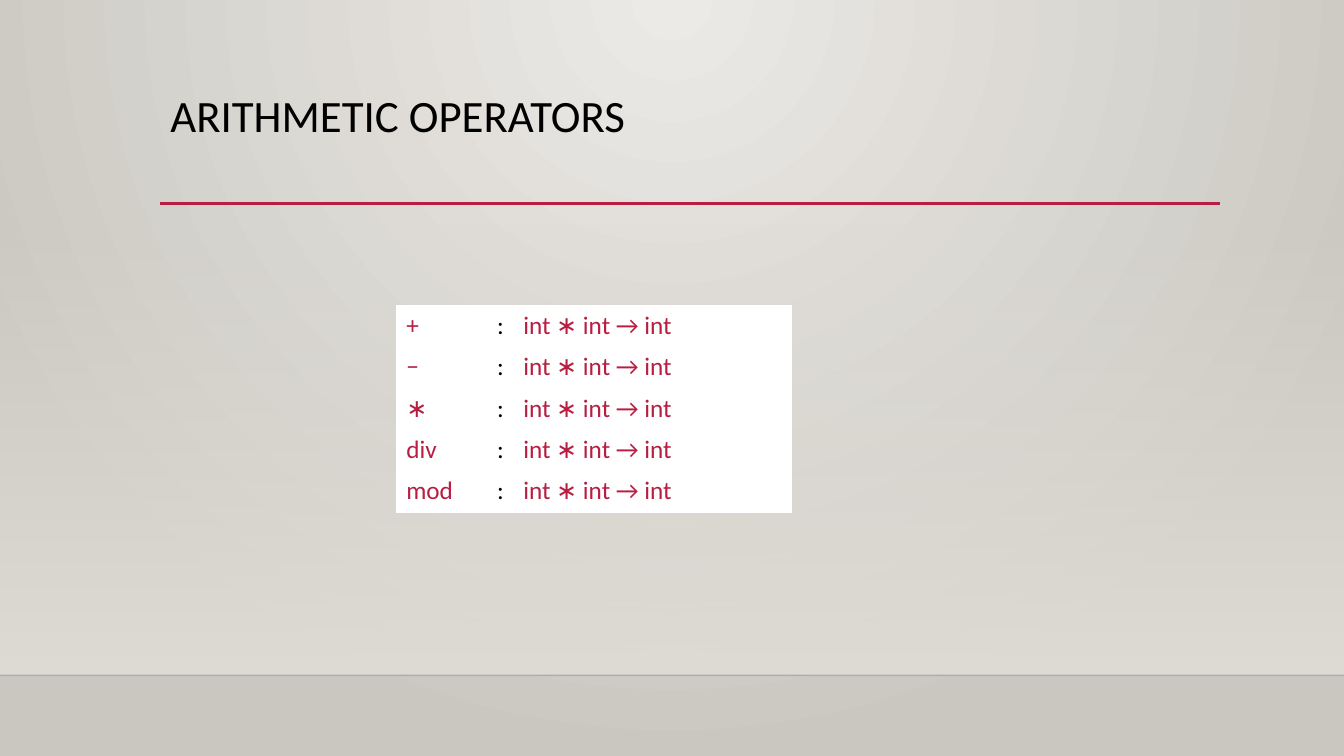
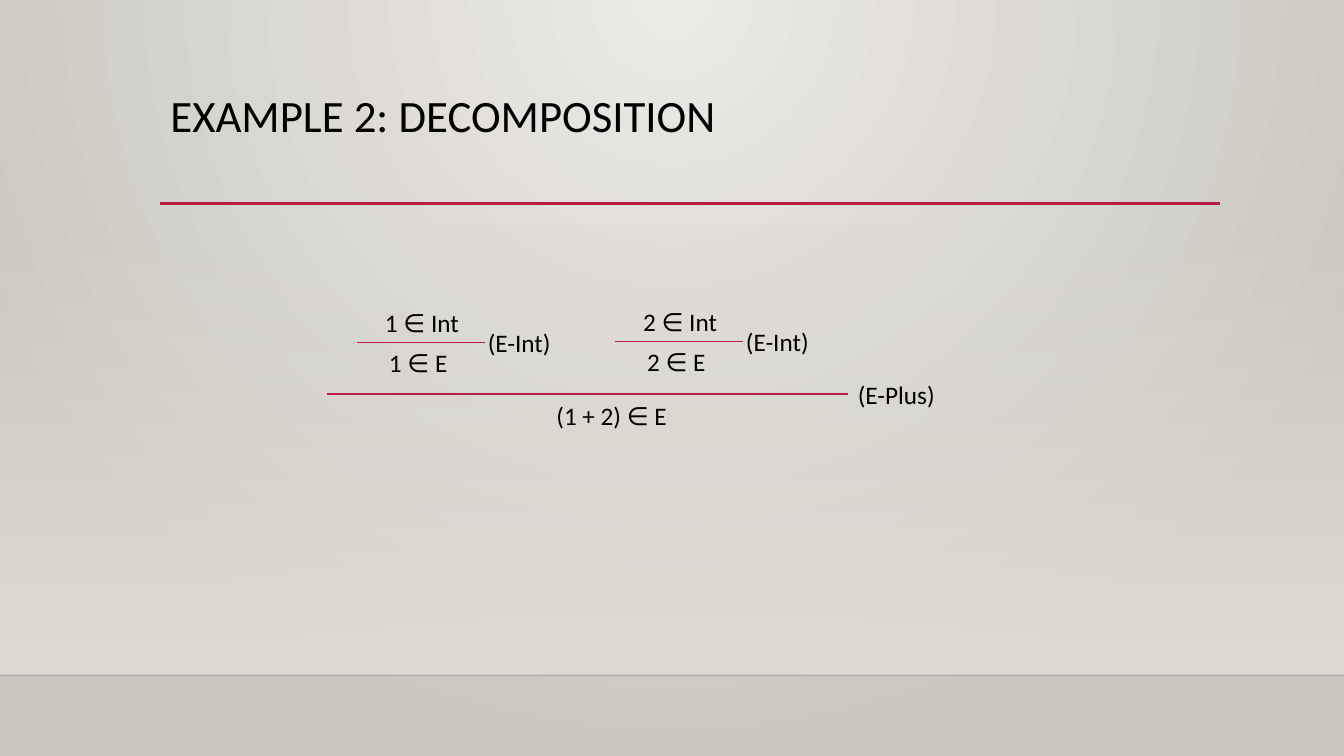
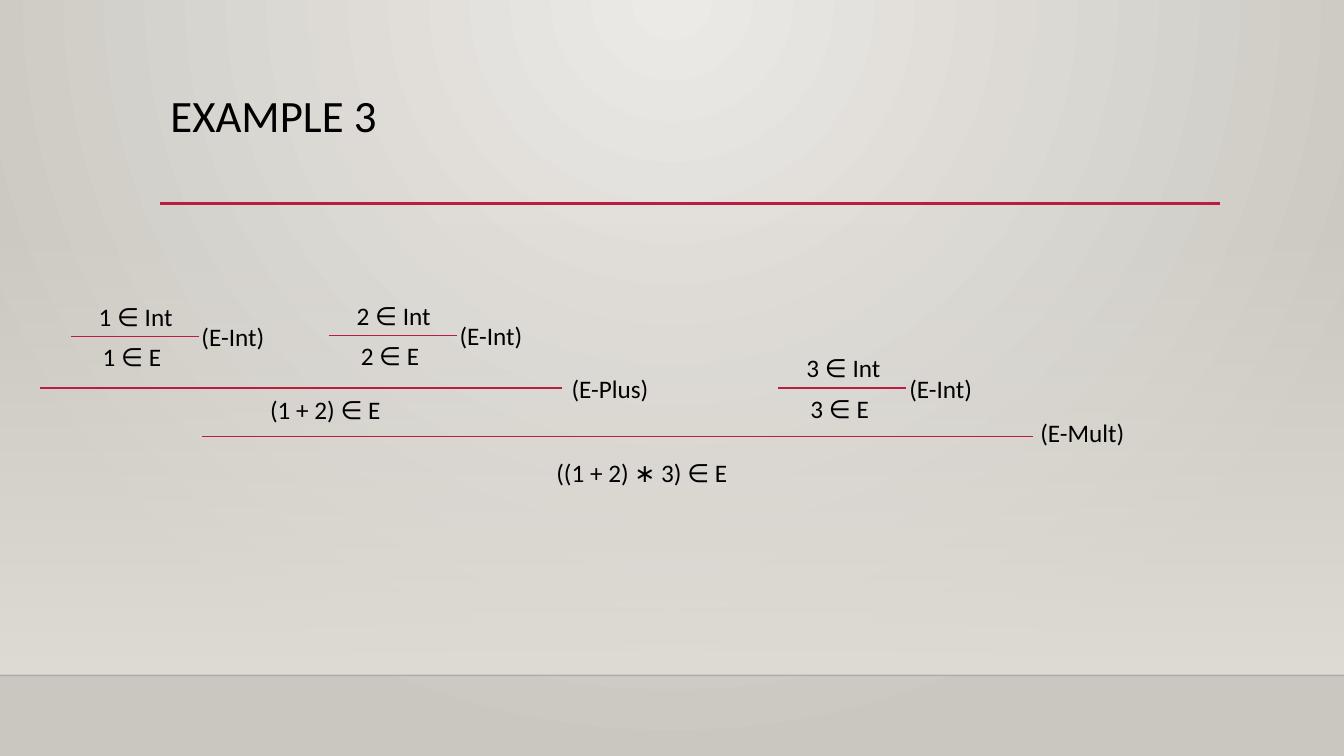
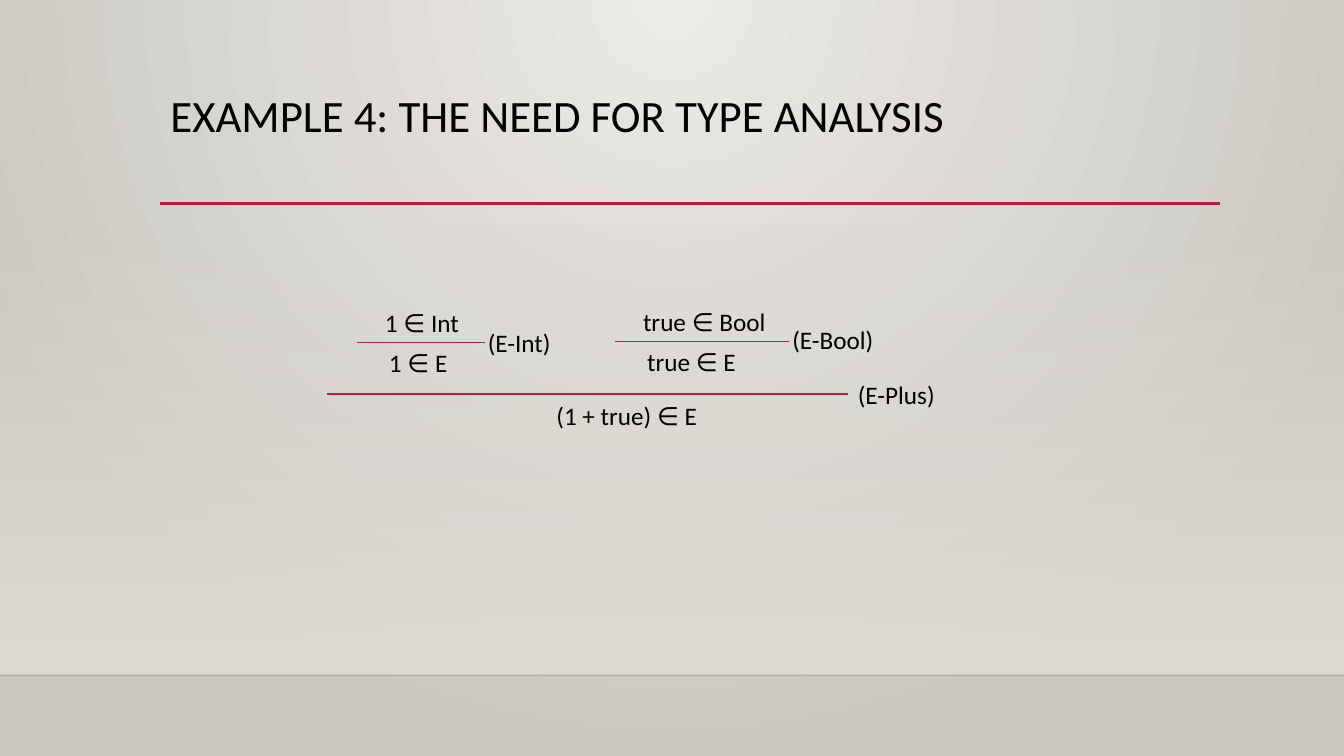
from pptx import Presentation
from pptx import util as u
from pptx.dml.color import RGBColor
from pptx.enum import shapes, text
from pptx.oxml import parse_xml
from pptx.oxml.ns import nsdecls

# Shared look
CRIMSON = RGBColor(0xB7, 0x1E, 0x42)
BLACK = RGBColor(0x00, 0x00, 0x00)
NEAR_BLACK = RGBColor(0x00, 0x00, 0x01)
WHITE = RGBColor(0xFF, 0xFF, 0xFF)
PALE_STONE = RGBColor(0xEC, 0xEA, 0xE7)
DARK_STONE = RGBColor(0xCA, 0xC7, 0xC1)
WARM_STONE = RGBColor(0xDF, 0xDB, 0xD5)

SLIDE_WIDTH, SLIDE_HEIGHT = 13.33, 7.5
BAND_TOP, FLOOR = 2.21, 6.7
TITLE_BOX = {"left": 1.59, "top": 0.88, "width": 10.5, "height": 1.15}
TITLE_FONT = {"name": "Calibri", "size": u.Pt(32), "bold": False}
BODY_FONT = {"name": "Calibri", "size": u.Pt(18), "bold": False}

TITLE_FRAME = {
    "vertical_anchor": text.MSO_ANCHOR.TOP,
    "auto_size": text.MSO_AUTO_SIZE.NONE,
    "word_wrap": True,
}
LABEL_FRAME = {
    "word_wrap": False,
    "auto_size": text.MSO_AUTO_SIZE.SHAPE_TO_FIT_TEXT,
}

# Width of each formula and rule name on one line
LABEL_HEIGHT = 0.4
LABEL_WIDTHS = {
    "1 ∈ Int": 0.94, "2 ∈ Int": 0.94, "3 ∈ Int": 0.94, "true ∈ Bool": 1.46,
    "1 ∈ E": 0.83, "2 ∈ E": 0.83, "3 ∈ E": 0.83, "true ∈ E": 1.13,
    "(1 + 2) ∈ E": 1.42, "(1 + true) ∈ E": 1.71, "((1 + 2) ∗ 3) ∈ E": 2.06,
    "(E-Int)": 0.9, "(E-Bool)": 1.13, "(E-Plus)": 1.11, "(E-Mult)": 1.1,
}


def apply(target, values):
    for attribute, value in values.items():
        setattr(target, attribute, value)


def write(paragraph, words, font, color):
    run = paragraph.add_run()
    run.text = words
    apply(run.font, font)
    run.font.color.rgb = color


def set_gradient(fill, holder, stops, direction):
    """Give a fill two stops (colour, opacity in percent) and a direction."""
    fill.gradient()
    default = holder.xpath(".//a:gradFill")[0]
    stop_xml = "".join(
        f'<a:gs pos="{place}"><a:srgbClr val="{color}">'
        f'<a:alpha val="{opacity * 1000}"/></a:srgbClr></a:gs>'
        for place, (color, opacity) in zip((0, 100000), stops))
    default.getparent().replace(default, parse_xml(
        f'<a:gradFill {nsdecls("a")} rotWithShape="1">'
        f"<a:gsLst>{stop_xml}</a:gsLst>{direction}</a:gradFill>"))


def add_rule_line(slide, left, top, width, color=CRIMSON, weight=1):
    line = slide.shapes.add_connector(
        shapes.MSO_CONNECTOR.STRAIGHT, u.Inches(left), u.Inches(top),
        u.Inches(left + width), u.Inches(top))
    line.line.color.rgb = color
    line.line.width = u.Pt(weight)
    line.element.spPr.append(parse_xml(f'<a:effectLst {nsdecls("a")}/>'))
    return line


def style_layout(layout, slide):
    """Put background, band, lines and title position on the shared layout."""
    master = layout.slide_master
    set_gradient(
        master.background.fill, master.element,
        [(PALE_STONE, 100), (DARK_STONE, 100)],
        '<a:path path="circle"><a:fillToRect l="43000" t="0" r="43000" b="100000"/></a:path>')

    # Band that fades in towards the floor
    band = slide.shapes.add_shape(
        shapes.MSO_SHAPE.RECTANGLE, 0, u.Inches(BAND_TOP),
        u.Inches(SLIDE_WIDTH), u.Inches(FLOOR - BAND_TOP))
    band.shadow.inherit = False
    band.line.fill.background()
    set_gradient(band.fill, band.element, [(WARM_STONE, 0), (WARM_STONE, 100)],
                 '<a:lin ang="5400000" scaled="0"/>')

    # Faint floor line and title underline
    floor_line = add_rule_line(slide, 0, FLOOR, SLIDE_WIDTH, NEAR_BLACK)
    floor_color = floor_line.element.xpath(".//a:ln//a:srgbClr")[0]
    floor_color.append(parse_xml(f'<a:alpha {nsdecls("a")} val="20000"/>'))
    underline = add_rule_line(slide, 1.59, 2.02, 10.51, weight=2.5)

    # Move the decoration behind the layout's placeholders
    for depth, part in enumerate((band, floor_line, underline), 2):
        layout.shapes.element.insert(depth, part.element)
    for number, properties in enumerate(layout.element.xpath(".//p:cNvPr"), 1):
        properties.set("id", str(number))

    apply(layout.placeholders[0],
          {side: u.Inches(length) for side, length in TITLE_BOX.items()})


def add_titled_slide(prs, layout, heading):
    slide = prs.slides.add_slide(layout)
    frame = slide.shapes.title.text_frame
    apply(frame, TITLE_FRAME)
    paragraph = frame.paragraphs[0]
    apply(paragraph, {"alignment": text.PP_ALIGN.LEFT, "line_spacing": 0.9})
    write(paragraph, heading, TITLE_FONT, BLACK)
    return slide


def add_label(slide, words, left, top):
    label = slide.shapes.add_textbox(
        u.Inches(left), u.Inches(top),
        u.Inches(LABEL_WIDTHS[words]), u.Inches(LABEL_HEIGHT))
    apply(label.text_frame, LABEL_FRAME)
    write(label.text_frame.paragraphs[0], words, BODY_FONT, BLACK)


def add_inference(slide, left, top, width, conclusion, rule, indent,
                  drop=0.01, rule_gap=0, rule_rise=0.2):
    """Inference line with its conclusion below and rule name at the right."""
    add_rule_line(slide, left, top, width)
    add_label(slide, rule, left + width + rule_gap, top - rule_rise)
    add_label(slide, conclusion, left + indent, top + drop)


def add_axiom(slide, left, top, value, kind, width=1.27, rule_rise=0.2):
    """Leaf of a derivation: value ∈ kind over value ∈ E."""
    add_label(slide, f"{value} ∈ {kind}", left + 0.18, top - LABEL_HEIGHT)
    add_inference(slide, left, top, width, f"{value} ∈ E", f"(E-{kind})", 0.22,
                  drop=0, rule_gap=-0.07, rule_rise=rule_rise)


def add_sum(slide, left, top, second, second_format):
    """Derivation of (1 + second), placed from the left end of its line."""
    add_axiom(slide, left + 0.3, top - 0.51, "1", "Int")
    add_axiom(slide, left + 2.86, top - 0.52, second, **second_format)
    add_inference(slide, left, top, 5.17, f"(1 + {second}) ∈ E", "(E-Plus)", 2.18)


def add_operator_table(slide, left, top):
    operators = ["+", "−", "∗", "div", "mod"]
    column_widths = [0.9, 0.26, 2.76]
    row_height = 0.41
    table = slide.shapes.add_table(
        len(operators), len(column_widths), u.Inches(left), u.Inches(top),
        u.Inches(sum(column_widths)), u.Inches(row_height * len(operators))).table
    for column, width in zip(table.columns, column_widths):
        column.width = u.Inches(width)
    for row, operator in zip(table.rows, operators):
        row.height = u.Inches(row_height)
        signature = [(operator, CRIMSON), (":", BLACK), ("int ∗ int → int", CRIMSON)]
        for cell, (words, color) in zip(row.cells, signature):
            cell.fill.solid()
            cell.fill.fore_color.rgb = WHITE
            write(cell.text_frame.paragraphs[0], words, BODY_FONT, color)


def main():
    prs = Presentation()
    prs.slide_width = u.Inches(SLIDE_WIDTH)
    prs.slide_height = u.Inches(SLIDE_HEIGHT)
    layout = prs.slide_layouts.get_by_name("Title Only")

    operators = add_titled_slide(prs, layout, "ARITHMETIC OPERATORS")
    style_layout(layout, operators)
    add_operator_table(operators, 3.93, 3.03)

    decomposition = add_titled_slide(prs, layout, "EXAMPLE 2: DECOMPOSITION")
    add_sum(decomposition, 3.24, 3.91, "2", {"kind": "Int"})

    product = add_titled_slide(prs, layout, "EXAMPLE 3")
    add_sum(product, 0.4, 3.85, "2", {"kind": "Int"})
    add_axiom(product, 7.72, 3.85, "3", "Int")
    add_inference(product, 2, 4.33, 8.25, "((1 + 2) ∗ 3) ∈ E", "(E-Mult)", 3.42,
                  drop=0.16, rule_gap=-0.03, rule_rise=0.24)

    type_analysis = add_titled_slide(
        prs, layout, "EXAMPLE 4: THE NEED FOR TYPE ANALYSIS")
    add_sum(type_analysis, 3.24, 3.91, "true",
            {"kind": "Bool", "width": 1.73, "rule_rise": 0.22})

    prs.save("out.pptx")


if __name__ == "__main__":
    main()
